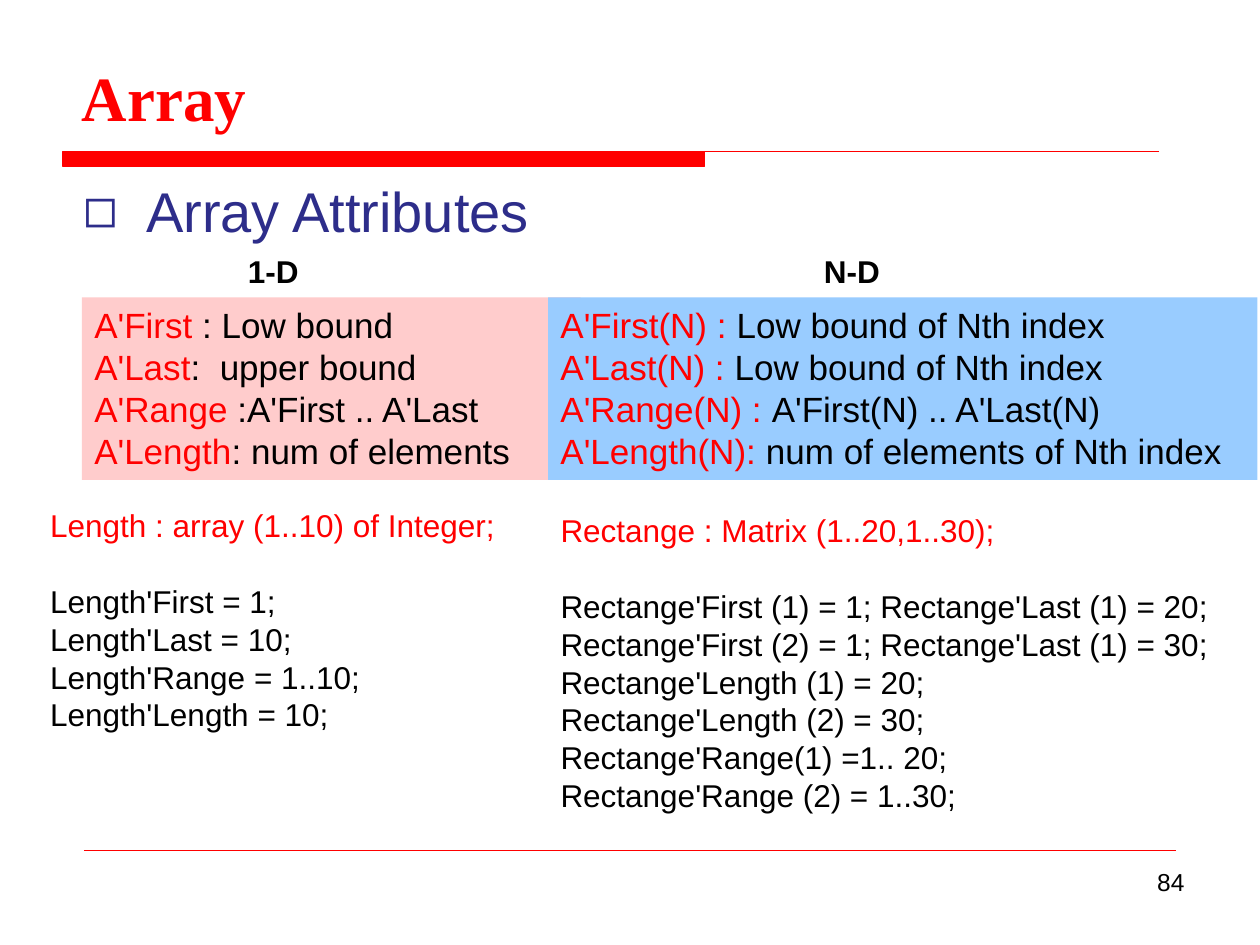
from lxml import etree
from pptx import Presentation
from pptx import util as u
from pptx.dml.color import RGBColor
from pptx.enum import shapes, text
from pptx.oxml.ns import qn

Pt = u.Pt
COLORS = {"red": "FF0000", "black": "000000", "navy": "2D2D8A",
          "pink": "FFCCCC", "sky": "99CCFF"}
LINE_FACTOR = 1.2


def rgb(name):
    return RGBColor.from_string(COLORS[name])


class SlideBuilder:
    """Holds the text style and the slide being filled."""

    def __init__(self, slide, font="Arial"):
        self.slide = slide
        self.font = font

    def place(self, sp, left, top, width, height):
        sp.left, sp.top, sp.width, sp.height = map(Pt, (left, top, width, height))

    def frame(self, sp, wrap=True, inset=None):
        tf = sp.text_frame
        tf.word_wrap = wrap
        tf.auto_size = text.MSO_AUTO_SIZE.NONE
        tf.vertical_anchor = text.MSO_ANCHOR.TOP
        if inset is not None:
            tf.margin_left = tf.margin_right = Pt(inset)
            tf.margin_top = tf.margin_bottom = Pt(inset)
        return tf

    def style(self, p, size, colors, bold=False, font=None, spacing=None,
              align=text.PP_ALIGN.JUSTIFY):
        p.alignment = align
        p.line_spacing = Pt(spacing or size * LINE_FACTOR)
        p.space_before = Pt(0)
        for r, color in zip(p.runs, colors):
            r.font.name = font or self.font
            r.font.size = Pt(size)
            r.font.bold = bold
            r.font.color.rgb = rgb(color)

    def title(self, words, box):
        sp = self.slide.shapes.title
        self.place(sp, *box)
        tf = self.frame(sp, wrap=False, inset=0)
        tf.text = words
        self.style(tf.paragraphs[0], 36, ["red"], bold=True, spacing=33.7,
                   font="Times New Roman", align=text.PP_ALIGN.LEFT)

    def bullet(self, words, box):
        sp = self.slide.placeholders[1]
        self.place(sp, *box)
        tf = self.frame(sp, inset=0)
        tf.text = words
        p = tf.paragraphs[0]
        pPr = p._p.get_or_add_pPr()
        pPr.set("marL", str(Pt(36)))
        pPr.set("indent", str(Pt(-36)))
        clr = etree.SubElement(pPr, qn("a:buClr"))
        etree.SubElement(clr, qn("a:srgbClr"), val=COLORS["navy"])
        etree.SubElement(pPr, qn("a:buChar"), char="◻")
        self.style(p, 32, ["navy"], align=text.PP_ALIGN.LEFT)

    def label(self, words, box, size=18, bold=True, align=text.PP_ALIGN.JUSTIFY):
        tf = self.frame(self.slide.shapes.add_textbox(*map(Pt, box)))
        tf.text = words
        self.style(tf.paragraphs[0], size, ["black"], bold=bold, align=align)

    def attribute_panel(self, rows, box, fill):
        sp = self.slide.shapes.add_shape(shapes.MSO_SHAPE.RECTANGLE, *map(Pt, box))
        sp.shadow.inherit = False
        sp.fill.solid()
        sp.fill.fore_color.rgb = rgb(fill)
        sp.line.fill.background()
        tf = self.frame(sp)
        for i, row in enumerate(rows):
            p = tf.add_paragraph() if i else tf.paragraphs[0]
            for words in row:
                p.add_run().text = words
            self.style(p, 20, ["red", "black"])

    def example(self, lines, box, wrap=True, size=18):
        """A red declaration, a one-line gap, then the black results."""
        tf = self.frame(self.slide.shapes.add_textbox(*map(Pt, box)), wrap)
        tf.text = "\n".join(lines)
        for i, p in enumerate(tf.paragraphs):
            self.style(p, size, ["black" if i else "red"])
        tf.paragraphs[1].space_before = Pt(size * LINE_FACTOR)

    def title_rule(self, left, top, bar_right, right, thickness):
        """A thick bar whose top edge runs on as a thin line."""
        x0, y0, x1, x2, y1 = map(Pt, (left, top, bar_right, right, top + thickness))
        fb = self.slide.shapes.build_freeform(x0, y0)
        fb.add_line_segments([(x1, y0), (x1, y1), (x0, y1)], close=True)
        fb.move_to(x0, y0)
        fb.add_line_segments([(x2, y0)], close=False)
        sp = fb.convert_to_shape()
        sp.shadow.inherit = False
        sp.fill.solid()
        sp.fill.fore_color.rgb = rgb("red")
        sp.line.color.rgb = rgb("red")
        sp.line.width = Pt(0.75)

    def rule(self, left, right, y):
        line = self.slide.shapes.add_connector(
            shapes.MSO_CONNECTOR.STRAIGHT, Pt(left), Pt(y), Pt(right), Pt(y))
        line.line.color.rgb = rgb("red")
        line.line.width = Pt(0.25)
        etree.SubElement(line._element.spPr, qn("a:effectLst"))


def main():
    prs = Presentation()
    prs.slide_width, prs.slide_height = Pt(720), Pt(540)
    s = SlideBuilder(prs.slides.add_slide(prs.slide_layouts[1]))

    # Rules, title and heading
    s.title_rule(36, 86.4, 402.5, 662.4, 8.6)
    s.rule(48, 672, 486)
    s.title("Array", (46.8, 43.2, 95, 34.6))
    s.bullet("Array Attributes", (47.5, 100.8, 589, 38.9))

    # Attribute panels
    panel_top, panel_height, right_col = 169.9, 104.4, 313.2
    s.attribute_panel([("A'First ", ": Low bound"),
                       ("A'Last", ":  upper bound"),
                       ("A'Range ", ":A'First .. A'Last"),
                       ("A'Length", ": num of elements")],
                      (46.8, panel_top, 285.1, panel_height), "pink")
    s.attribute_panel([("A'First(N) : ", "Low bound of Nth index"),
                       ("A'Last(N) : ", "Low bound of Nth index"),
                       ("A'Range(N) : ", "A'First(N) .. A'Last(N)"),
                       ("A'Length(N):", " num of elements of Nth index")],
                      (right_col, panel_top, 405.4, panel_height), "sky")

    # Column headings
    s.label("1-D", (134.6, 140.4, 45.4, 28.8))
    s.label("N-D", (463.7, 140.4, 70.6, 28.8))

    # Examples
    s.example(["Rectange : Matrix (1..20,1..30);",
               "Rectange'First (1) = 1; Rectange'Last (1) = 20;",
               "Rectange'First (2) = 1; Rectange'Last (1) = 30;",
               "Rectange'Length (1) = 20;",
               "Rectange'Length (2) = 30;",
               "Rectange'Range(1) =1.. 20;",
               "Rectange'Range (2) = 1..30;"],
              (right_col, 288.7, 387.4, 181.4))
    s.example(["Length : array (1..10) of Integer;",
               "Length'First = 1;",
               "Length'Last = 10;",
               "Length'Range = 1..10;",
               "Length'Length = 10;"],
              (21.6, 285.8, 270.7, 159.8), wrap=False)

    # Page number
    s.label("84", (516.2, 491.8, 167.8, 37.4), size=14, bold=False,
            align=text.PP_ALIGN.RIGHT)

    prs.save("out.pptx")


if __name__ == "__main__":
    main()
